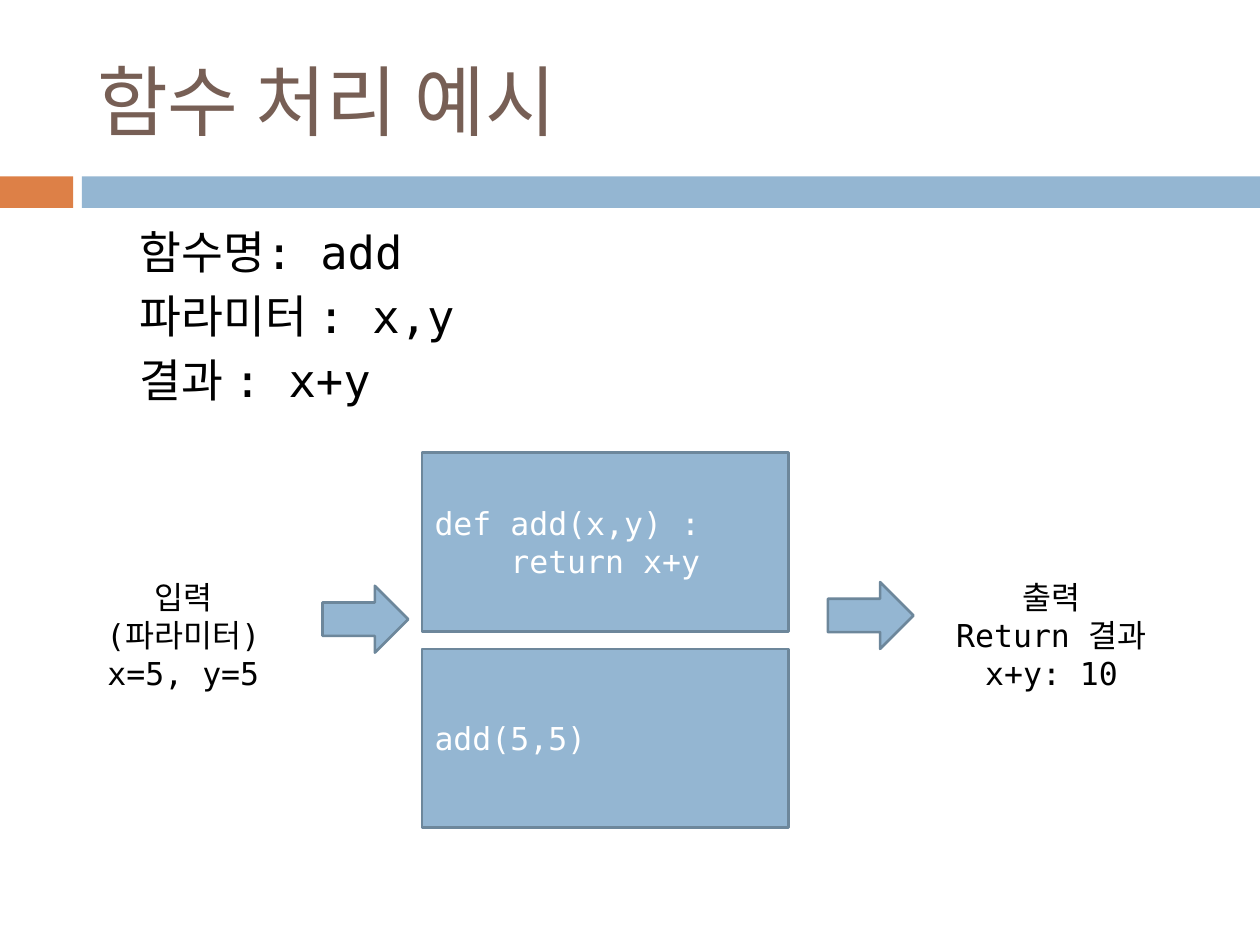
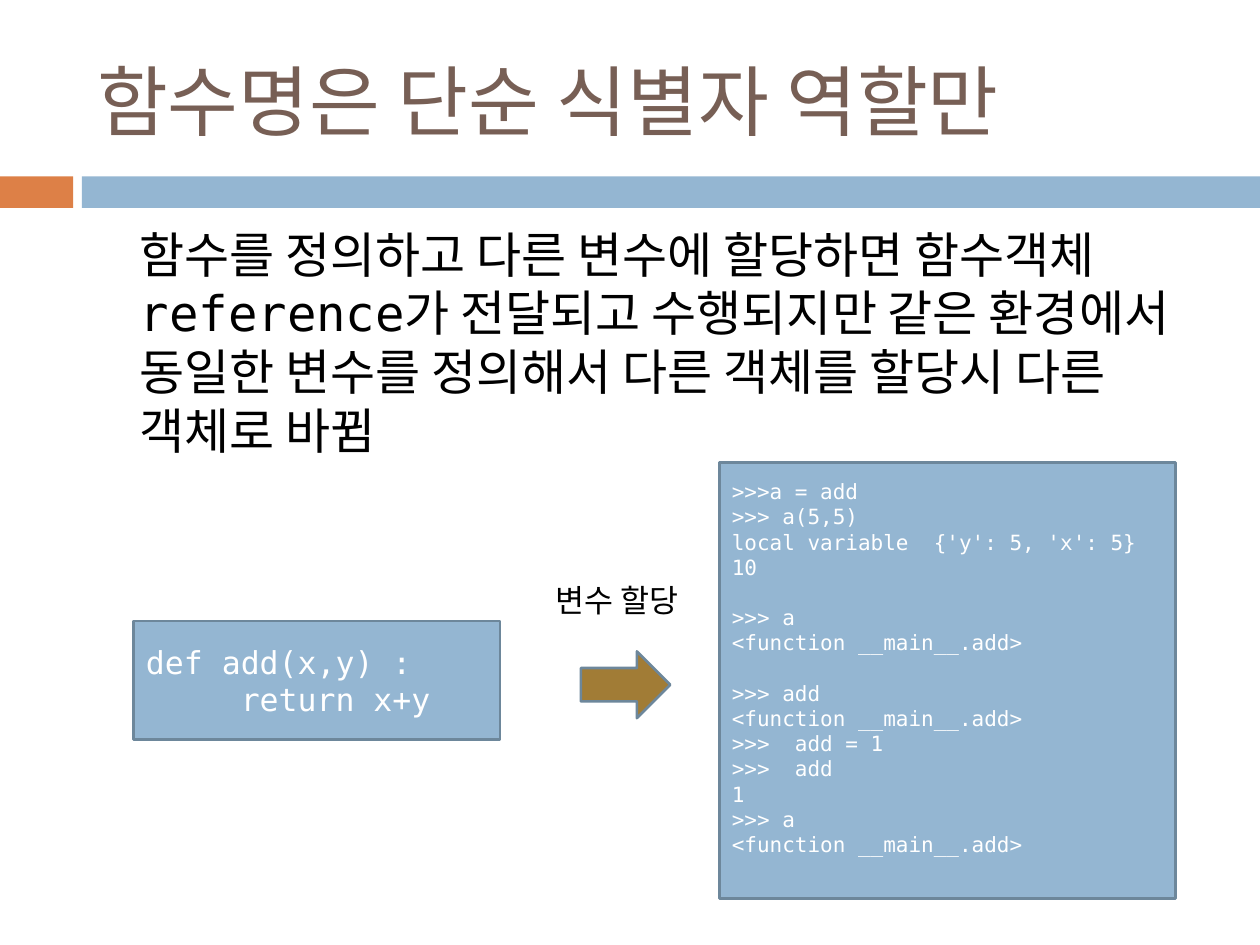
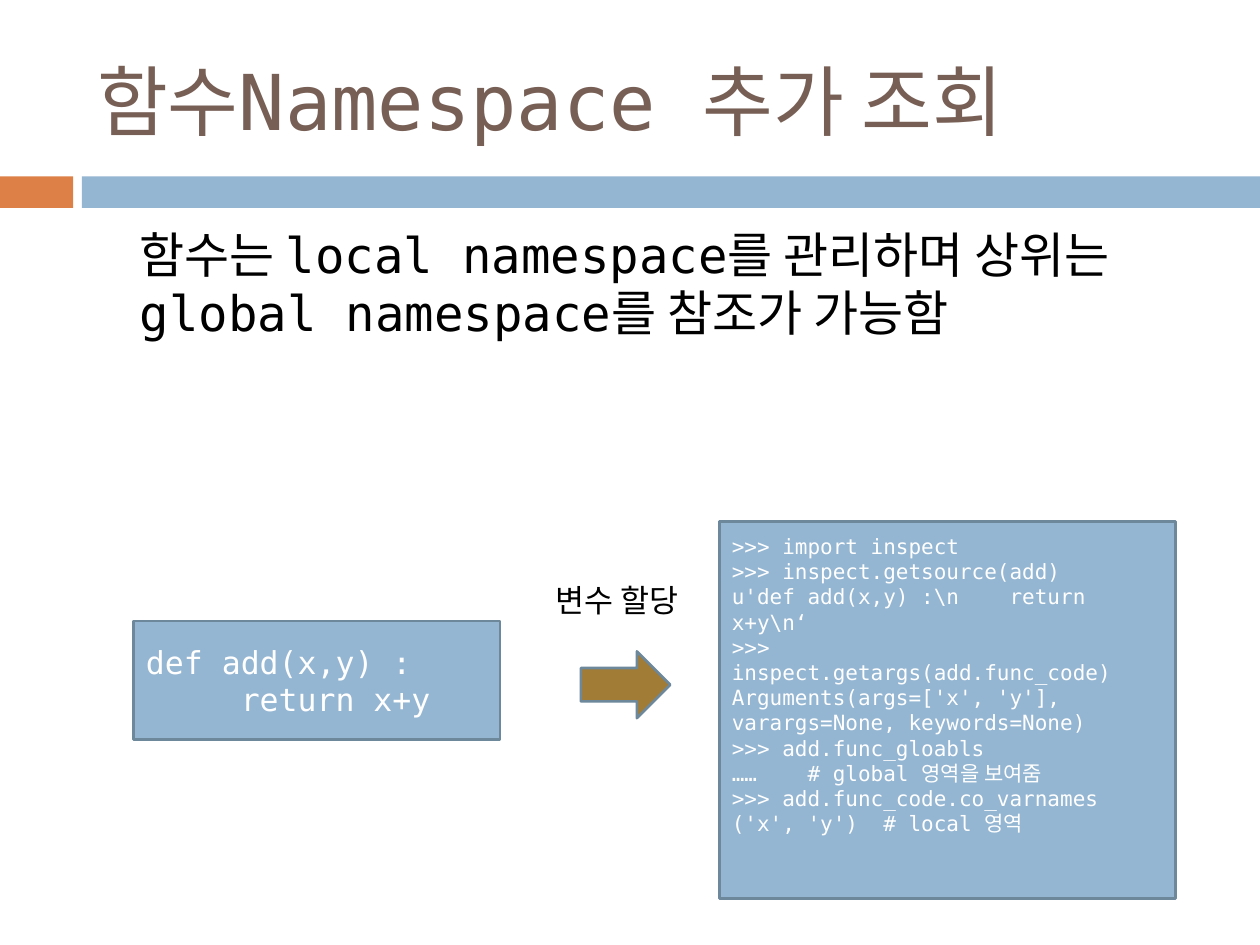
from dataclasses import dataclass

import pptx
import pptx.dml.color
import pptx.enum.shapes
import pptx.enum.text
import pptx.util

EMU_PER_PX = 9144
PRESET = pptx.enum.shapes.MSO_SHAPE
ALIGN = pptx.enum.text.PP_ALIGN
ANCHOR = pptx.enum.text.MSO_ANCHOR


@dataclass(frozen=True)
class Theme:
    font: str = "DejaVu Sans Mono"
    title_color: str = "775F55"
    text_color: str = "000000"
    code_color: str = "FFFFFF"
    blue: str = "94B6D2"
    orange: str = "DD8047"
    brown: str = "A17C36"
    outline: str = "6D879B"
    outline_width: float = 1.5
    title_size: int = 44
    list_size: int = 26
    body_size: int = 28
    label_size: int = 18
    console_size: int = 12
    body_gap: float = 5.5


@dataclass(frozen=True)
class Box:
    left: int
    top: int
    width: int
    height: int

    def emu(self) -> list[int]:
        return [px(value) for value in (self.left, self.top, self.width, self.height)]


@dataclass(frozen=True)
class TextStyle:
    size: int
    color: str
    align: ALIGN = ALIGN.LEFT
    gap: float = 0


@dataclass(frozen=True)
class Code:
    box: Box
    text: str
    size: int
    bottom_inset: int = 5


@dataclass(frozen=True)
class Arrow:
    box: Box
    color: str


@dataclass(frozen=True)
class Label:
    box: Box
    text: str


@dataclass(frozen=True)
class SlideContent:
    title: str
    body: str
    body_box: Box
    body_size: int
    codes: tuple[Code, ...]
    arrows: tuple[Arrow, ...]
    labels: tuple[Label, ...]


THEME = Theme()
TITLE_BOX = Box(67, 25, 892, 108)
BODY_INDENT = 60
BANDS = (
    (Box(0, 140, 58, 25), THEME.orange),
    (Box(65, 140, 935, 25), THEME.blue),
)

ADD_CODE = "def add(x,y) :\n    return x+y"
ADD_SOURCE = "def add(x,y) :\n     return x+y"
ASSIGN_CONSOLE = """>>>a = add
>>> a(5,5)
local variable  {'y': 5, 'x': 5}
10

>>> a
<function __main__.add>

>>> add
<function __main__.add>
>>>  add = 1
>>>  add
1
>>> a
<function __main__.add>"""
INSPECT_CONSOLE = r""">>> import inspect
>>> inspect.getsource(add)
u'def add(x,y) :\n    return x+y\n‘
>>>  inspect.getargs(add.func_code)
Arguments(args=['x', 'y'], varargs=None, keywords=None)
>>> add.func_gloabls
……    # global 영역을 보여줌
>>> add.func_code.co_varnames
('x', 'y')  # local 영역"""


def px(value: int) -> int:
    return pptx.util.Emu(value * EMU_PER_PX)


def rgb(color: str) -> pptx.dml.color.RGBColor:
    return pptx.dml.color.RGBColor.from_string(color)


def format_paragraph(paragraph, style: TextStyle) -> None:
    paragraph.alignment = style.align
    font = paragraph.font
    font.name = THEME.font
    font.size = pptx.util.Pt(style.size)
    font.color.rgb = rgb(style.color)


def write_text(frame, text: str, style: TextStyle) -> None:
    frame.word_wrap = True
    frame.auto_size = pptx.enum.text.MSO_AUTO_SIZE.NONE
    line_gap = style.size * 1.2
    number = 0
    for block_number, block in enumerate(text.split("\n\n")):
        for line_number, line in enumerate(block.split("\n")):
            paragraph = frame.add_paragraph() if number else frame.paragraphs[0]
            paragraph.text = line
            if number:
                starts_block = block_number > 0 and line_number == 0
                gap = line_gap if starts_block else style.gap
                paragraph.space_before = pptx.util.Pt(gap)
            format_paragraph(paragraph, style)
            number += 1


def add_shape(slide, preset: PRESET, box: Box, color: str, outlined: bool = True):
    shape = slide.shapes.add_shape(preset, *box.emu())
    shape.shadow.inherit = False
    shape.fill.solid()
    shape.fill.fore_color.rgb = rgb(color)
    if outlined:
        shape.line.color.rgb = rgb(THEME.outline)
        shape.line.width = pptx.util.Pt(THEME.outline_width)
    else:
        shape.line.fill.background()
    return shape


def add_text_box(slide, box: Box, text: str, style: TextStyle):
    frame = slide.shapes.add_textbox(*box.emu()).text_frame
    write_text(frame, text, style)
    return frame


def add_title(slide, text: str) -> None:
    title = slide.shapes.title
    title.left, title.top, title.width, title.height = TITLE_BOX.emu()
    title.text_frame.vertical_anchor = ANCHOR.MIDDLE
    write_text(title.text_frame, text, TextStyle(THEME.title_size, THEME.title_color))


def add_code(slide, code: Code) -> None:
    shape = add_shape(slide, PRESET.RECTANGLE, code.box, THEME.blue)
    frame = shape.text_frame
    frame.vertical_anchor = ANCHOR.MIDDLE
    frame.margin_bottom = px(code.bottom_inset)
    write_text(frame, code.text, TextStyle(code.size, THEME.code_color))


def add_bands_to_layout(slide) -> None:
    layout = slide.slide_layout
    title_type = pptx.enum.shapes.PP_PLACEHOLDER.TITLE
    for placeholder in list(layout.placeholders):
        if placeholder.placeholder_format.type != title_type:
            layout.shapes.element.remove(placeholder.element)
    for box, color in BANDS:
        band = add_shape(slide, PRESET.RECTANGLE, box, color, outlined=False)
        layout.shapes.element.append(band.element)


def fill_slide(slide, content: SlideContent) -> None:
    add_title(slide, content.title)
    body_style = TextStyle(content.body_size, THEME.text_color, gap=THEME.body_gap)
    body = add_text_box(slide, content.body_box, content.body, body_style)
    body.margin_left = px(BODY_INDENT)
    for code in content.codes:
        add_code(slide, code)
    for arrow in content.arrows:
        add_shape(slide, PRESET.RIGHT_ARROW, arrow.box, arrow.color)
    label_style = TextStyle(THEME.label_size, THEME.text_color, ALIGN.CENTER)
    for label in content.labels:
        add_text_box(slide, label.box, label.text, label_style)


def assignment_slide(
    title: str, body: str, console: str, console_top: int, bottom_inset: int
) -> SlideContent:
    console_box = Box(571, console_top, 362, 713 - console_top)
    return SlideContent(
        title=title,
        body=body,
        body_box=Box(51, 173, 900, 187),
        body_size=THEME.body_size,
        codes=(
            Code(Box(106, 493, 291, 94), ADD_SOURCE, THEME.label_size),
            Code(console_box, console, THEME.console_size, bottom_inset),
        ),
        arrows=(Arrow(Box(461, 517, 71, 53), THEME.brown),),
        labels=(Label(Box(403, 456, 173, 40), "변수 할당"),),
    )


SLIDES = (
    SlideContent(
        title="함수 처리 예시",
        body="함수명: add\n파라미터 : x,y\n결과 : x+y",
        body_box=Box(51, 173, 900, 147),
        body_size=THEME.list_size,
        codes=tuple(
            Code(Box(335, 359 + 156 * row, 291, 142), text, THEME.label_size)
            for row, text in enumerate((ADD_CODE, "add(5,5)"))
        ),
        arrows=(
            Arrow(Box(256, 465, 68, 53), THEME.blue),
            Arrow(Box(657, 462, 68, 53), THEME.blue),
        ),
        labels=(
            Label(Box(59, 454, 173, 101), "입력\n(파라미터)\nx=5, y=5"),
            Label(Box(744, 454, 181, 101), "출력\nReturn 결과\nx+y: 10"),
        ),
    ),
    assignment_slide(
        "함수명은 단순 식별자 역할만",
        "함수를 정의하고 다른 변수에 할당하면 함수객체 reference가 전달되고 "
        "수행되지만 같은 환경에서 동일한 변수를 정의해서 다른 객체를 할당시 "
        "다른 객체로 바뀜",
        ASSIGN_CONSOLE,
        console_top=367,
        bottom_inset=25,
    ),
    assignment_slide(
        "함수Namespace 추가 조회",
        "함수는 local namespace를 관리하며 상위는 "
        "global namespace를 참조가 가능함",
        INSPECT_CONSOLE,
        console_top=414,
        bottom_inset=45,
    ),
)


def main() -> None:
    presentation = pptx.Presentation()
    presentation.slide_width = px(1000)
    presentation.slide_height = px(750)
    layout = presentation.slide_layouts.get_by_name("Title Only")
    for number, content in enumerate(SLIDES):
        slide = presentation.slides.add_slide(layout)
        if number == 0:
            add_bands_to_layout(slide)
        fill_slide(slide, content)
    presentation.save("out.pptx")


if __name__ == "__main__":
    main()
